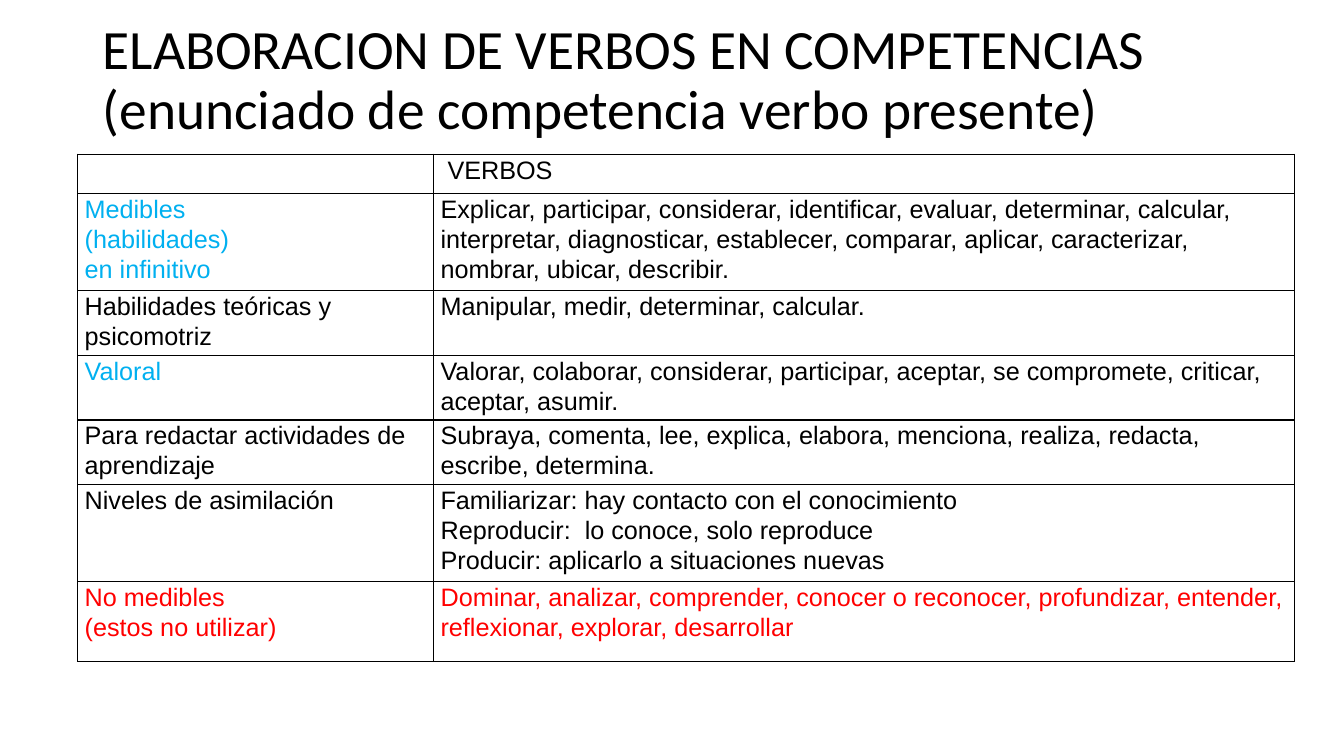
from lxml import etree
from pptx import Presentation
from pptx.dml.color import RGBColor
from pptx.enum import text
from pptx.oxml import ns
from pptx.util import Inches, Pt

BLACK = RGBColor(0x00, 0x00, 0x00)
BLUE = RGBColor(0x00, 0xB0, 0xF0)
RED = RGBColor(0xFF, 0x00, 0x00)

TITLE = ("ELABORACION DE VERBOS EN COMPETENCIAS\v"
         "(enunciado de competencia verbo presente)")
COLUMN_WIDTHS = (3.53, 8.54)

# Row height, label, label colour, verbs, verbs colour
VERB_ROWS = [
    (0.39, "", BLACK, " VERBOS", BLACK),
    (0.9, "Medibles\n(habilidades)\nen infinitivo", BLUE,
     "Explicar, participar, considerar, identificar, evaluar, determinar, calcular, "
     "interpretar, diagnosticar, establecer, comparar, aplicar, caracterizar, "
     "nombrar, ubicar, describir.", BLACK),
    (0.6, "Habilidades teóricas y psicomotriz", BLACK,
     "Manipular, medir, determinar, calcular.", BLACK),
    (0.6, "Valoral", BLUE,
     "Valorar, colaborar, considerar, participar, aceptar, se compromete, criticar, "
     "aceptar, asumir.", BLACK),
    (0.6, "Para redactar actividades de aprendizaje", BLACK,
     "Subraya, comenta, lee, explica, elabora, menciona, realiza, redacta, "
     "escribe, determina.", BLACK),
    (0.9, "Niveles de asimilación", BLACK,
     "Familiarizar: hay contacto con el conocimiento\n"
     "Reproducir:  lo conoce, solo reproduce\n"
     "Producir: aplicarlo a situaciones nuevas", BLACK),
    (0.79, "No medibles\n(estos no utilizar)", RED,
     "Dominar, analizar, comprender, conocer o reconocer, profundizar, entender, "
     "reflexionar, explorar, desarrollar", RED),
]


def write_text(frame, content, *, size, font="Arial", color=BLACK, spacing=1.0):
    """Fill a text frame; each line of content becomes a paragraph."""
    frame.word_wrap = True
    frame.text = content
    for paragraph in frame.paragraphs:
        paragraph.line_spacing = spacing
        paragraph.font.size = Pt(size)
        paragraph.font.name = font
        paragraph.font.color.rgb = color


def add_borders(cell, width=1, color=BLACK):
    properties = cell._tc.get_or_add_tcPr()
    for side in ("a:lnL", "a:lnR", "a:lnT", "a:lnB"):
        line = etree.SubElement(properties, ns.qn(side), w=str(Pt(width)))
        fill = etree.SubElement(line, ns.qn("a:solidFill"))
        etree.SubElement(fill, ns.qn("a:srgbClr"), val=str(color))


def add_title(slide, left, top, width, height):
    box = slide.shapes.add_textbox(Inches(left), Inches(top), Inches(width), Inches(height))
    box.text_frame.vertical_anchor = text.MSO_ANCHOR.MIDDLE
    write_text(box.text_frame, TITLE, size=39.6, font="Calibri", spacing=0.9)


def fill_cell(cell, content, color):
    cell.margin_left = cell.margin_right = Inches(0.07)
    cell.margin_top = cell.margin_bottom = 0
    add_borders(cell)
    cell.fill.background()
    write_text(cell.text_frame, content, size=18, color=color, spacing=1.07)


def add_verb_table(slide, left, top):
    height = sum(row[0] for row in VERB_ROWS)
    frame = slide.shapes.add_table(len(VERB_ROWS), len(COLUMN_WIDTHS), Inches(left),
                                   Inches(top), Inches(sum(COLUMN_WIDTHS)), Inches(height))
    table = frame.table
    table.first_row = table.horz_banding = False
    for column, width in zip(table.columns, COLUMN_WIDTHS):
        column.width = Inches(width)
    for row, (row_height, label, label_color, verbs, verbs_color) in zip(table.rows, VERB_ROWS):
        row.height = Inches(row_height)
        fill_cell(row.cells[0], label, label_color)
        fill_cell(row.cells[1], verbs, verbs_color)


def main():
    presentation = Presentation()
    presentation.slide_width = Inches(13.33)
    presentation.slide_height = Inches(7.5)
    slide = presentation.slides.add_slide(presentation.slide_layouts[6])
    add_title(slide, 0.92, 0.4, 11.5, 0.81)
    add_verb_table(slide, 0.77, 1.53)
    presentation.save("out.pptx")


if __name__ == "__main__":
    main()
